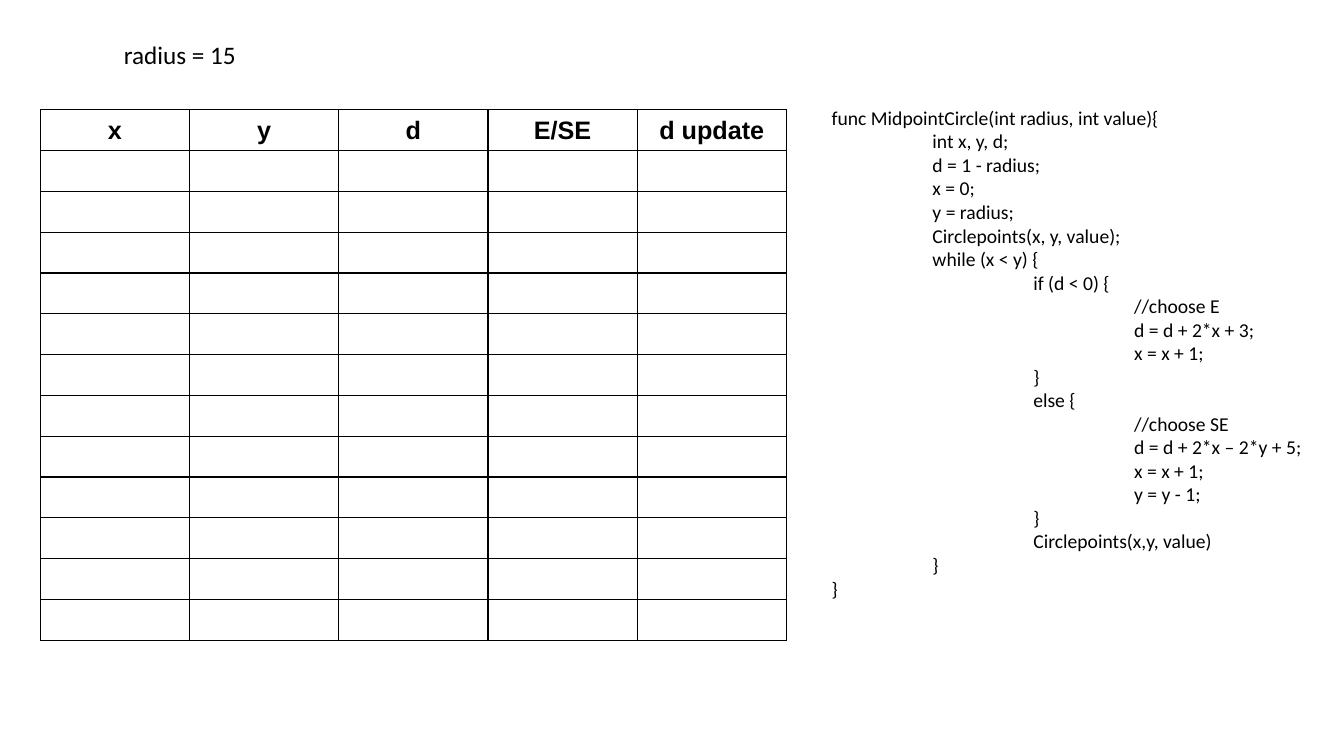
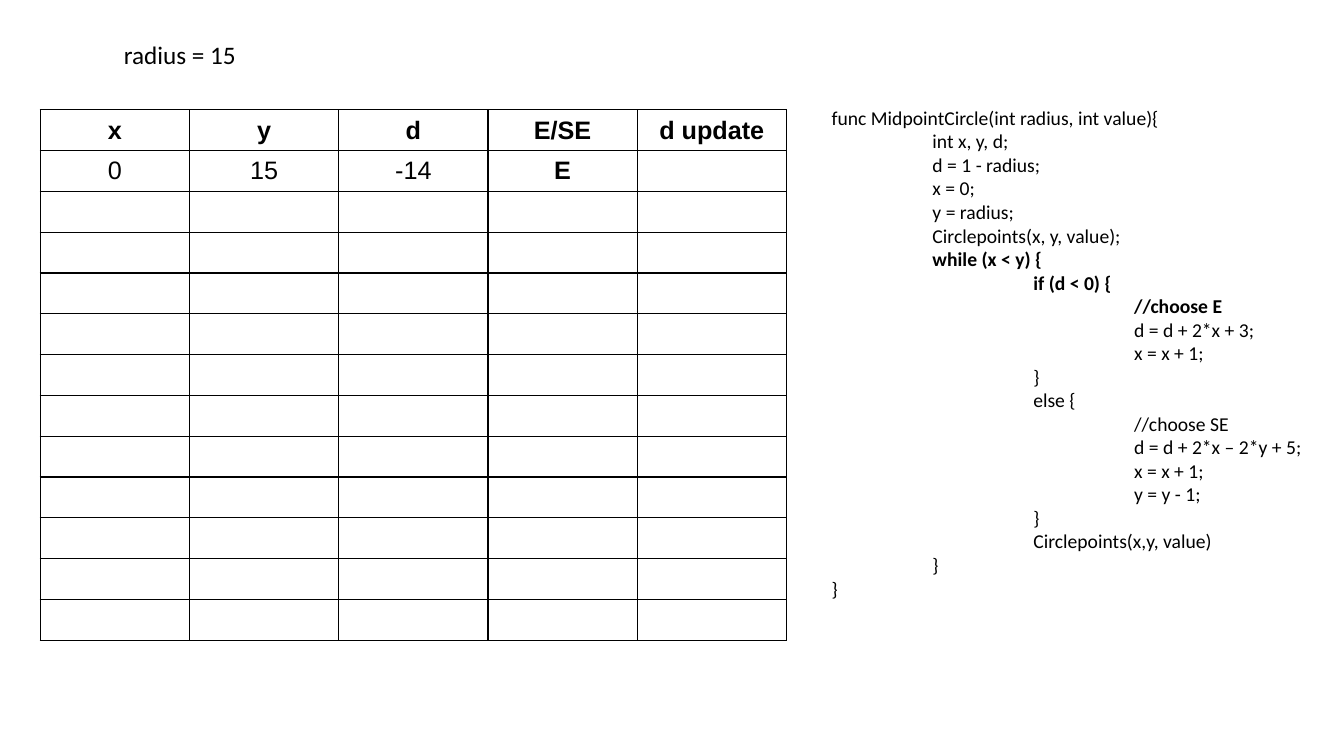
from dataclasses import dataclass

from lxml.etree import SubElement
from pptx import Presentation
from pptx.dml.color import RGBColor
from pptx.enum.text import MSO_ANCHOR as Anchor
from pptx.enum.text import MSO_AUTO_SIZE as AutoSize
from pptx.enum.text import PP_ALIGN as Align
from pptx.oxml.ns import qn
from pptx.slide import Slide
from pptx.table import _Cell as Cell
from pptx.text.text import _Paragraph as Paragraph
from pptx.util import Emu, Pt

PX_PER_INCH = 200
BLACK = "000000"
CODE_FONT = "Calibri"
TABLE_FONT = "Arial"
INDENT = 200
COLUMN_WIDTH, ROW_HEIGHT, ROW_COUNT = 296, 81, 13
HEADERS = ("x", "y", "d", "E/SE", "d update")


@dataclass(frozen=True)
class Area:
    left: int
    top: int
    width: int
    height: int

    def emu(self) -> tuple[Emu, Emu, Emu, Emu]:
        return px(self.left), px(self.top), px(self.width), px(self.height)


@dataclass(frozen=True)
class CodeLine:
    depth: int
    text: str


@dataclass(frozen=True)
class Entry:
    text: str
    bold: bool = False


@dataclass(frozen=True)
class Step:
    """One slide: the filled table rows and the code lines in bold."""
    rows: tuple[tuple[Entry, ...], ...] = ()
    bold_lines: range = range(0)


RADIUS_AREA = Area(226, 68, 266, 80)
TABLE_AREA = Area(80, 218, COLUMN_WIDTH * len(HEADERS), ROW_HEIGHT * ROW_COUNT)
CODE_AREA = Area(1630, 200, 1024, 1056)

CODE = (
    CodeLine(0, "func MidpointCircle(int radius, int value){"),
    CodeLine(1, "int x, y, d;"),
    CodeLine(1, "d = 1 - radius;"),
    CodeLine(1, "x = 0;"),
    CodeLine(1, "y = radius;"),
    CodeLine(1, "Circlepoints(x, y, value);"),
    CodeLine(1, "while (x < y) {"),
    CodeLine(2, "if (d < 0) {"),
    CodeLine(3, "//choose E"),
    CodeLine(3, "d = d + 2*x + 3;"),
    CodeLine(3, "x = x + 1;"),
    CodeLine(2, "}"),
    CodeLine(2, "else {"),
    CodeLine(3, "//choose SE"),
    CodeLine(3, "d = d + 2*x – 2*y + 5;"),
    CodeLine(3, "x = x + 1;"),
    CodeLine(3, "y = y - 1;"),
    CodeLine(2, "}"),
    CodeLine(2, "Circlepoints(x,y, value)"),
    CodeLine(1, "}"),
    CodeLine(0, "}"),
)

STEPS = (
    Step(),
    Step(
        rows=((Entry("0"), Entry("15"), Entry("-14"), Entry("E", bold=True)),),
        bold_lines=range(6, 9),
    ),
)


def px(length: int) -> Emu:
    return Emu(length * 914400 // PX_PER_INCH)


def color(value: str) -> RGBColor:
    return RGBColor.from_string(value)


def write(para: Paragraph, text: str, *, size: int = 18, font: str = CODE_FONT,
          bold: bool = False, align: Align = Align.LEFT, indent: int = 0) -> None:
    para.alignment = align
    if indent:
        properties = para._p.get_or_add_pPr()
        properties.set("marL", str(px(indent)))
        properties.set("indent", "0")
    span = para.add_run()
    span.text = text
    span.font.name = font
    span.font.size = Pt(size)
    span.font.bold = bold
    span.font.color.rgb = color(BLACK)


def add_text(page: Slide, area: Area, lines: tuple[CodeLine, ...], *,
             size: int, bold_lines: range = range(0)) -> None:
    frame = page.shapes.add_textbox(*area.emu()).text_frame
    frame.word_wrap = True
    frame.auto_size = AutoSize.SHAPE_TO_FIT_TEXT
    for index, line in enumerate(lines):
        para = frame.add_paragraph() if index else frame.paragraphs[0]
        write(para, line.text, size=size, bold=index in bold_lines,
              indent=line.depth * INDENT)


def add_borders(cell: Cell) -> None:
    properties = cell._tc.get_or_add_tcPr()
    for index, side in enumerate(("lnL", "lnR", "lnT", "lnB")):
        line = SubElement(properties, qn(f"a:{side}"), w=str(Pt(1)))
        fill = SubElement(line, qn("a:solidFill"))
        SubElement(fill, qn("a:srgbClr"), val=BLACK)
        properties.insert(index, line)  # borders come before the cell fill


def add_trace_table(page: Slide, rows: tuple[tuple[Entry, ...], ...]) -> None:
    table = page.shapes.add_table(ROW_COUNT, len(HEADERS), *TABLE_AREA.emu()).table
    table.first_row = False
    table.horz_banding = False
    for column in table.columns:
        column.width = px(COLUMN_WIDTH)
    for row in table.rows:
        row.height = px(ROW_HEIGHT)
    for cell in table.iter_cells():
        cell.vertical_anchor = Anchor.MIDDLE
        cell.fill.background()
        add_borders(cell)
    header = tuple(Entry(text, bold=True) for text in HEADERS)
    for row, entries in enumerate((header, *rows)):
        for column, entry in enumerate(entries):
            para = table.cell(row, column).text_frame.paragraphs[0]
            write(para, entry.text, font=TABLE_FONT, bold=entry.bold,
                  align=Align.CENTER)


def main() -> None:
    deck = Presentation()
    deck.slide_width, deck.slide_height = px(2666), px(1500)
    blank = deck.slide_layouts[6]
    for step in STEPS:
        page = deck.slides.add_slide(blank)
        add_text(page, CODE_AREA, CODE, size=14, bold_lines=step.bold_lines)
        add_trace_table(page, step.rows)
        add_text(page, RADIUS_AREA, (CodeLine(0, "radius = 15"),), size=18)
    deck.save("out.pptx")


if __name__ == "__main__":
    main()
